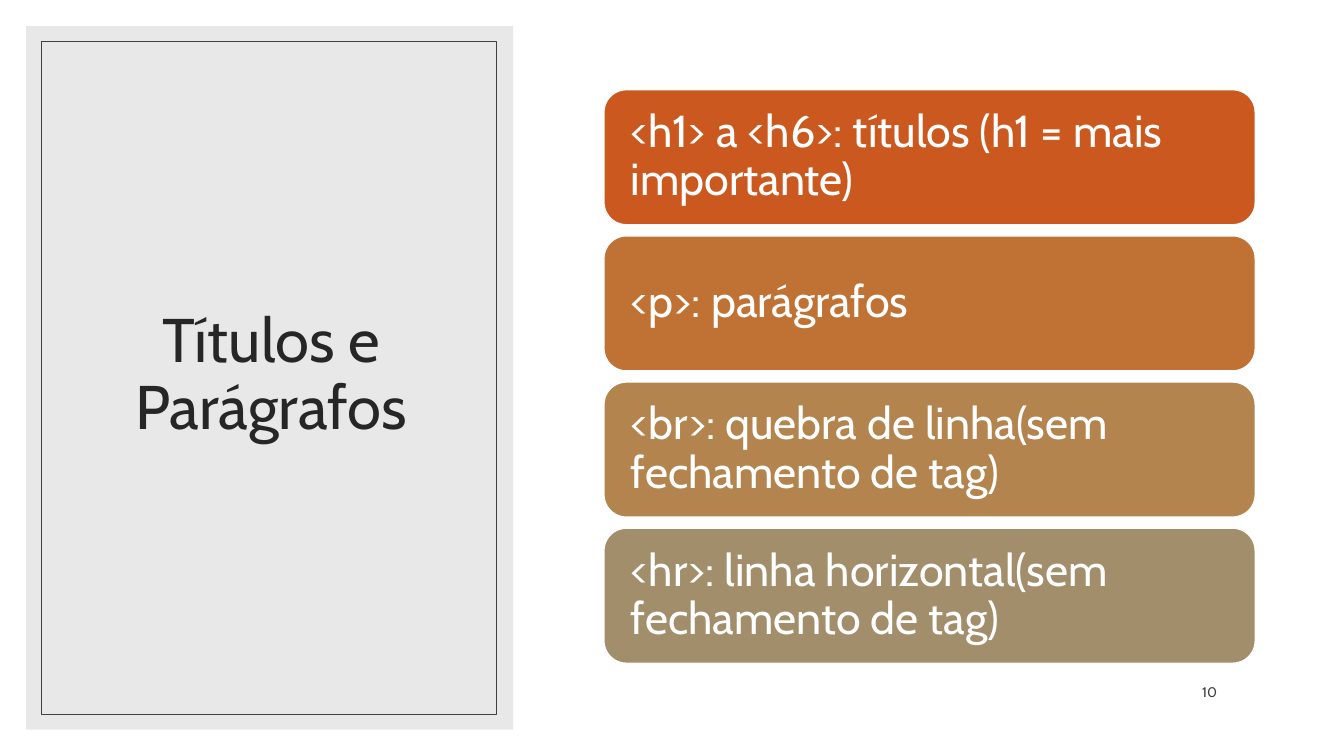
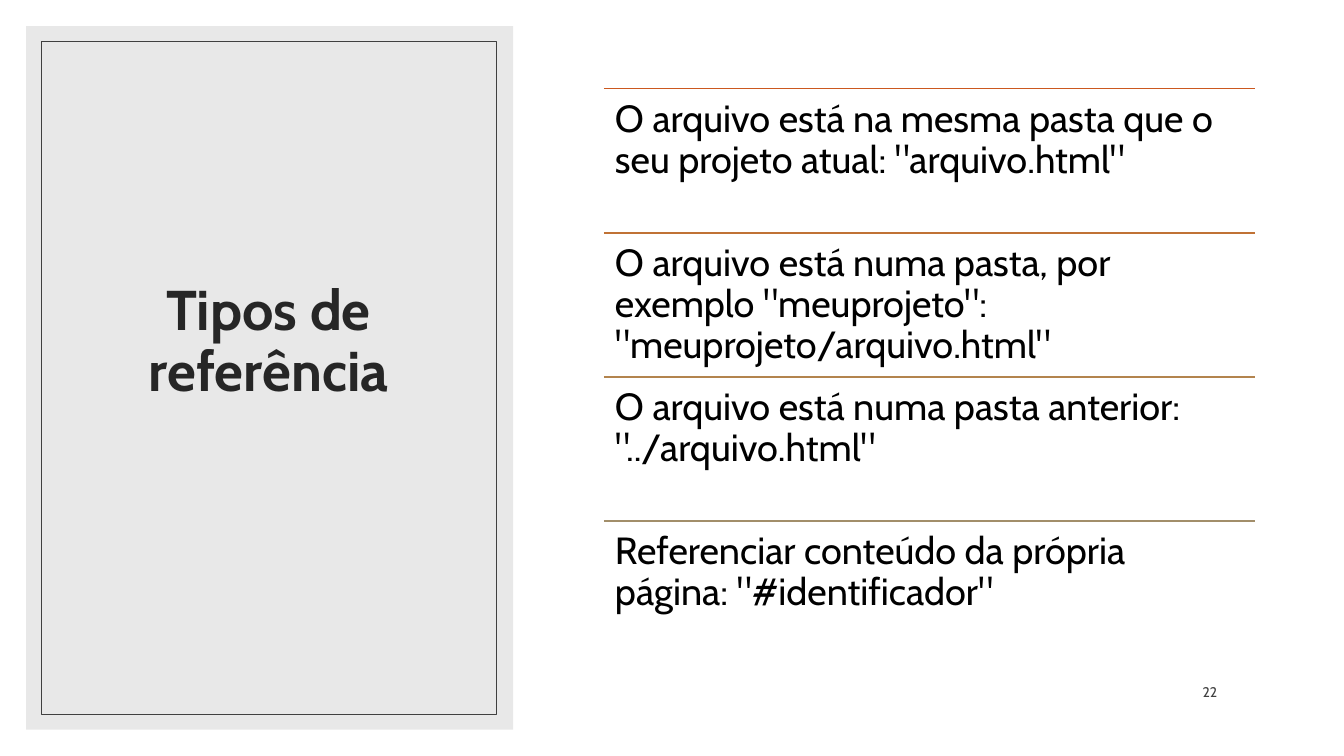
from lxml import etree
from pptx import Presentation
from pptx.dml.color import RGBColor
from pptx.enum.shapes import MSO_CONNECTOR, MSO_SHAPE
from pptx.enum.text import MSO_ANCHOR, MSO_AUTO_SIZE, PP_ALIGN
from pptx.oxml.ns import qn
from pptx.util import Pt

RECT, ROUND = MSO_SHAPE.RECTANGLE, MSO_SHAPE.ROUNDED_RECTANGLE
LINE = MSO_CONNECTOR.STRAIGHT
TOP, MID, LOW = MSO_ANCHOR.TOP, MSO_ANCHOR.MIDDLE, MSO_ANCHOR.BOTTOM
LEFT, CENTER, RIGHT = PP_ALIGN.LEFT, PP_ALIGN.CENTER, PP_ALIGN.RIGHT
FIXED = MSO_AUTO_SIZE.NONE

SCALE = 9144  # EMU per px, 100 px to the inch
TINTS = ["CB581F", "C07235", "B3844E", "A28E6A"]
LIST_X, LIST_W = 599, 646


def px(*sizes):
    return [size * SCALE for size in sizes]


def tint(code):
    return RGBColor.from_string(code)


class Deck:
    font = "Cabin"
    panel, frame, dark, white = "E8E8E8", "404040", "262626", "FFFFFF"

    def __init__(self):
        self.file = Presentation()
        self.file.slide_width, self.file.slide_height = px(1333, 750)
        self.slide = None

    def label(self, shape, text, size, color, align=LEFT, anchor=TOP,
              inset=(10, 5), bold=False, space=0.9):
        frame = shape.text_frame
        side, edge = px(*inset)
        box = {"word_wrap": True, "auto_size": FIXED, "vertical_anchor": anchor,
               "margin_left": side, "margin_right": side,
               "margin_top": edge, "margin_bottom": edge}
        frame.text = text
        para = frame.paragraphs[0]
        font = para.runs[0].font
        style = {"name": self.font, "size": Pt(size), "bold": bold}
        lines = {"alignment": align, "line_spacing": space}
        for item, values in ((frame, box), (para, lines), (font, style)):
            for name, value in values.items():
                setattr(item, name, value)
        font.color.rgb = tint(color)

    def shape(self, kind, place, fill=None, line=None, width=1):
        shape = self.slide.shapes.add_shape(kind, *px(*place))
        shape.shadow.inherit = False
        if fill:
            shape.fill.solid()
            shape.fill.fore_color.rgb = tint(fill)
        else:
            shape.fill.background()
        if line:
            shape.line.color.rgb = tint(line)
            shape.line.width = Pt(width)
        else:
            shape.line.fill.background()
        return shape

    def text(self, place, text, **style):
        box = self.slide.shapes.add_textbox(*px(*place))
        self.label(box, text, **style)

    def rule(self, x, y, width, color):
        line = self.slide.shapes.add_connector(LINE, *px(x, y, x + width, y))
        line.line.color.rgb = tint(color)
        line.line.width = Pt(1)
        etree.SubElement(line._element.spPr, qn("a:effectLst"))

    def page(self, title, place, size, number, bold=False):
        self.slide = self.file.slides.add_slide(self.file.slide_layouts[5])
        # Side panel, with the title lifted above it
        self.shape(RECT, (26, 26, 483, 698), fill=self.panel)
        head = self.slide.shapes.title
        head.left, head.top, head.width, head.height = px(*place)
        self.label(head, title, size, self.dark, CENTER, MID, bold=bold)
        self.slide.shapes._spTree.append(head._element)
        self.shape(RECT, (41, 41, 451, 668), line=self.frame, width=0.5)
        # Page number
        self.text((1125, 660, 92, 40), number, size=10, color=self.frame,
                  align=RIGHT, anchor=LOW, space=1)

    def cards(self, items, top=89, step=145, height=134):
        for i, (item, color) in enumerate(zip(items, TINTS)):
            card = self.shape(ROUND, (LIST_X, top + i * step, LIST_W, height),
                              fill=color, line=self.white)
            self.label(card, item, 32, self.white, anchor=MID, inset=(20, 20))

    def rows(self, items, top=88, step=143):
        for i, (item, color) in enumerate(zip(items, TINTS)):
            y = top + i * step
            self.rule(LIST_X, y, LIST_W, color)
            self.text((LIST_X, y, LIST_W, step), item, size=27,
                      color="000000", inset=(11, 11))


def main():
    deck = Deck()

    # Headings and paragraphs
    deck.page("Títulos e Parágrafos", (63, 61, 412, 624), 44, "10")
    deck.cards([
        "<h1> a <h6>: títulos (h1 = mais importante)",
        "<p>: parágrafos",
        "<br>: quebra de linha(sem fechamento de tag)",
        "<hr>: linha horizontal(sem fechamento de tag)",
    ])

    # Kinds of reference
    deck.page("Tipos de referência", (41, 61, 451, 558), 40, "22", bold=True)
    deck.rows([
        'O arquivo está na mesma pasta que o seu projeto atual: "arquivo.html"',
        'O arquivo está numa pasta, por exemplo "meuprojeto": '
        '"meuprojeto/arquivo.html"',
        'O arquivo está numa pasta anterior: "../arquivo.html"',
        'Referenciar conteúdo da própria página: "#identificador"',
    ])

    deck.file.save("out.pptx")


if __name__ == "__main__":
    main()
